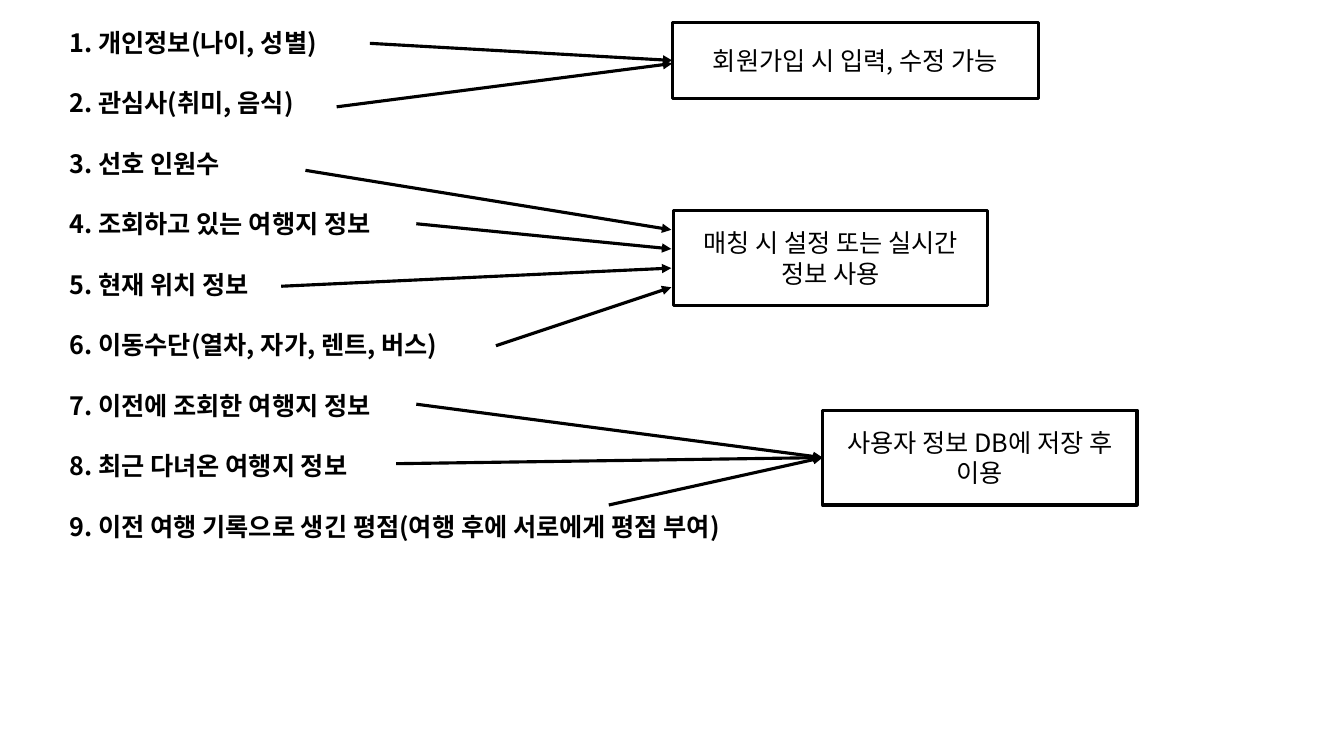
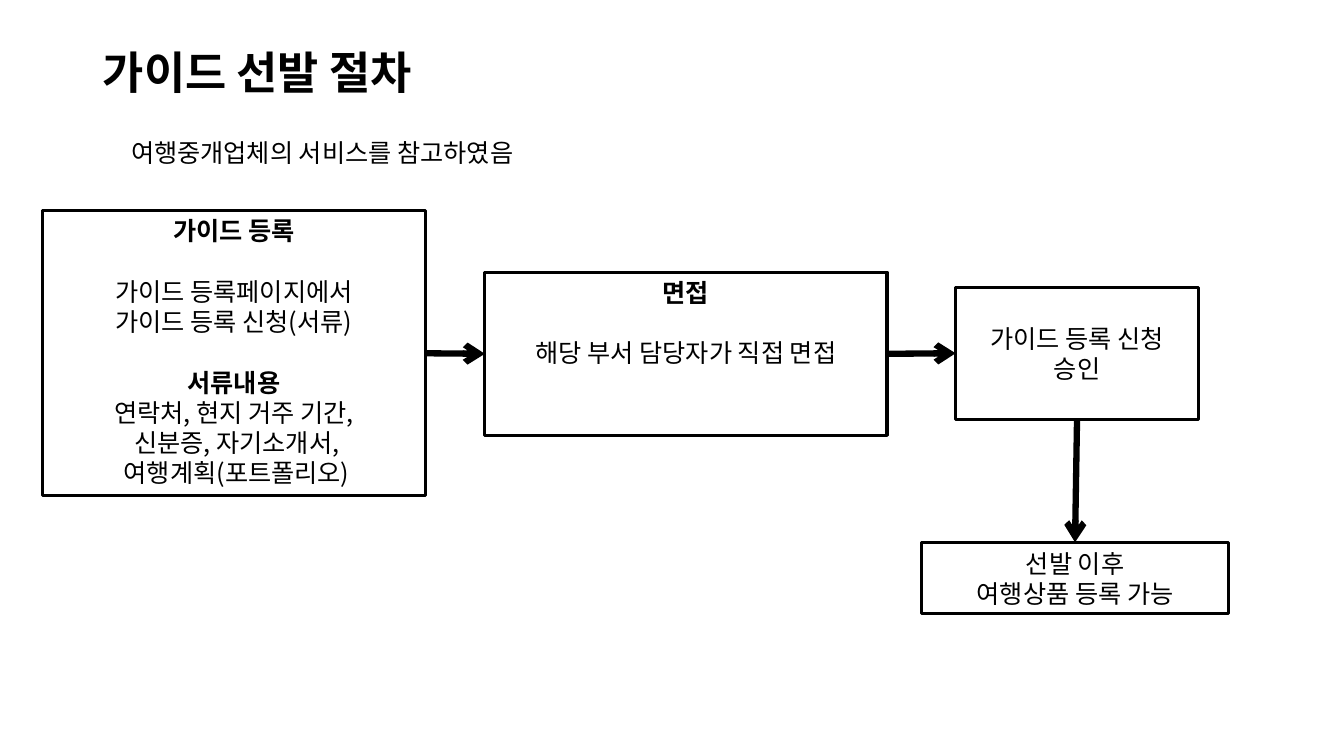
from dataclasses import dataclass

import lxml.etree
import pptx
import pptx.dml.color
import pptx.enum.shapes
import pptx.enum.text
import pptx.oxml.ns
import pptx.util

ALIGN = pptx.enum.text.PP_ALIGN
ANCHOR = pptx.enum.text.MSO_ANCHOR
TOP, LEFT, BOTTOM, RIGHT = range(4)


@dataclass(frozen=True)
class Theme:
    font: str = "Noto Sans CJK KR"
    ink: str = "000000"
    paper: str = "FFFFFF"
    title: float = 32
    body: float = 18
    leading: float = 1.2
    thin: float = 2.25
    thick: float = 4.5


THEME = Theme()
BLANK_LINE = THEME.body * THEME.leading


def rgb(value):
    return pptx.dml.color.RGBColor.from_string(value)


def grid(*cells):
    """Turn columns or rows, ten to the inch, into lengths."""
    return [pptx.util.Inches(n / 10) for n in cells]


def sub(parent, tag, **attrs):
    return lxml.etree.SubElement(parent, pptx.oxml.ns.qn(tag), **attrs)


def write(tf, text, size=THEME.body, bold=False, align=ALIGN.LEFT, gap=0):
    """Add one paragraph, with a gap above it in points."""
    p = tf.paragraphs[0] if not tf.text else tf.add_paragraph()
    p.alignment = align
    p.line_spacing = pptx.util.Pt(size * THEME.leading)
    p.space_before, p.space_after = pptx.util.Pt(gap), pptx.util.Pt(0)
    pPr = p._p.get_or_add_pPr()
    pPr.set("marL", "0")
    pPr.set("indent", "0")
    sub(pPr, "a:buNone")
    r = p.add_run()
    r.text = text
    r.font.size, r.font.bold = pptx.util.Pt(size), bold
    r.font.color.rgb = rgb(THEME.ink)
    r.font.name = THEME.font
    sub(r._r.get_or_add_rPr(), "a:ea", typeface=THEME.font)


class Deck:
    def __init__(self):
        self.prs = pptx.Presentation()
        self.prs.slide_width, self.prs.slide_height = grid(133.33, 75)
        self.s = None

    def new_slide(self):
        self.s = self.prs.slides.add_slide(self.prs.slide_layouts[1])

    def placeholder(self, index, at, lines, **fmt):
        sp = self.s.placeholders[index]
        sp.left, sp.top, sp.width, sp.height = grid(*at)
        tf = sp.text_frame
        tf.word_wrap = True
        tf.auto_size = pptx.enum.text.MSO_AUTO_SIZE.NONE
        tf.vertical_anchor = ANCHOR.TOP
        for text in lines:
            write(tf, text, **fmt)

    def title(self, at, text):
        self.placeholder(0, at, [text], size=THEME.title, bold=True)

    def body(self, at, lines, **fmt):
        self.placeholder(1, at, lines, **fmt)

    def box(self, at, lines, fill=None, anchor=ANCHOR.MIDDLE):
        """Draw a framed box; each line is a text and its format."""
        sp = self.s.shapes.add_shape(
            pptx.enum.shapes.MSO_SHAPE.RECTANGLE, *grid(*at))
        sp.shadow.inherit = False
        if fill:
            sp.fill.solid()
            sp.fill.fore_color.rgb = rgb(fill)
        else:
            sp.fill.background()
        sp.line.color.rgb = rgb(THEME.ink)
        sp.line.width = pptx.util.Pt(THEME.thin)
        tf = sp.text_frame
        tf.word_wrap = True
        tf.vertical_anchor = anchor
        for text, fmt in lines:
            write(tf, text, align=ALIGN.CENTER, **fmt)
        return sp

    def arrow(self, start, end, width=THEME.thin, head="triangle"):
        """Link two ends, each a (column, row) or a (box, side)."""
        c = self.s.shapes.add_connector(
            pptx.enum.shapes.MSO_CONNECTOR.STRAIGHT, 0, 0, 0, 0)
        if isinstance(start[0], (int, float)):
            c.begin_x, c.begin_y = grid(*start)
        else:
            c.begin_connect(*start)
        if isinstance(end[0], (int, float)):
            c.end_x, c.end_y = grid(*end)
        else:
            c.end_connect(*end)
        c.line.color.rgb = rgb(THEME.ink)
        c.line.width = pptx.util.Pt(width)
        sub(c.line._get_or_add_ln(), "a:tailEnd", type=head)
        sub(c._element.spPr, "a:effectLst")


def matching_data(deck):
    deck.new_slide()
    title = deck.s.shapes.title._element
    title.getparent().remove(title)

    # Numbered list
    items = [
        "개인정보(나이, 성별)", "관심사(취미, 음식)", "선호 인원수",
        "조회하고 있는 여행지 정보", "현재 위치 정보",
        "이동수단(열차, 자가, 렌트, 버스)", "이전에 조회한 여행지 정보",
        "최근 다녀온 여행지 정보",
        "이전 여행 기록으로 생긴 평점(여행 후에 서로에게 평점 부여)",
    ]
    deck.body((5.9, 2.2, 77.1, 52.5),
              [f"{n}. {item}" for n, item in enumerate(items, 1)],
              bold=True, gap=BLANK_LINE)

    # Where each item comes from
    signup = deck.box((66.7, 2.2, 36.3, 7.6),
                      [("회원가입 시 입력, 수정 가능", {})])
    deck.box((66.8, 20.9, 31.2, 9.4),
             [("매칭 시 설정 또는 실시간 정보 사용", {})])
    database = deck.box((81.6, 40.7, 31.2, 9.4),
                        [("사용자 정보 DB에 저장 후 이용", {})])

    # Arrows from items to boxes
    deck.arrow((36.7, 4.3), (signup, LEFT))
    deck.arrow((33.4, 10.6), (66.7, 6.3))
    matching = [(30.3, 16.9), (41.3, 22.2), (27.9, 28.4), (49.2, 34.3)]
    for n, start in enumerate(matching):
        deck.arrow(start, (66.6, 22.8 + 1.9 * n))
    for start in [(41.3, 40.1), (39.3, 46), (60.4, 50.1)]:
        deck.arrow(start, (database, LEFT))


def guide_selection(deck):
    deck.new_slide()
    deck.title((9.2, 3.9, 77.9, 6.4), "가이드 선발 절차")
    deck.body((12, 13.1, 45.9, 4), ["여행중개업체의 서비스를 참고하였음"])

    # Steps
    heading, spaced = {"bold": True}, {"gap": BLANK_LINE}
    register = deck.box((4.2, 20.9, 38, 28.3), [
        ("가이드 등록", heading),
        ("가이드 등록페이지에서", spaced),
        ("가이드 등록 신청(서류)", {}),
        ("서류내용", heading | spaced),
        ("연락처, 현지 거주 기간,", {}),
        (" 신분증, 자기소개서,", {}),
        (" 여행계획(포트폴리오)", {}),
    ], THEME.paper, ANCHOR.TOP)
    interview = deck.box((48.1, 27, 39.9, 16.2), [
        ("면접", heading),
        ("해당 부서 담당자가 직접 면접", spaced),
    ], THEME.paper, ANCHOR.TOP)
    approval = deck.box((94.8, 28.5, 24.1, 13.1),
                        [("가이드 등록 신청 승인", {})], THEME.paper)
    selling = deck.box((91.4, 53.8, 30.5, 7.1), [
        ("선발 이후", {}),
        ("여행상품 등록 가능", {}),
    ], THEME.paper)

    # Flow
    for start, end in [((register, RIGHT), (interview, LEFT)),
                       ((interview, RIGHT), (approval, LEFT)),
                       ((approval, BOTTOM), (selling, TOP))]:
        deck.arrow(start, end, THEME.thick, "arrow")


def main():
    deck = Deck()
    matching_data(deck)
    guide_selection(deck)
    deck.prs.save("out.pptx")


if __name__ == "__main__":
    main()
